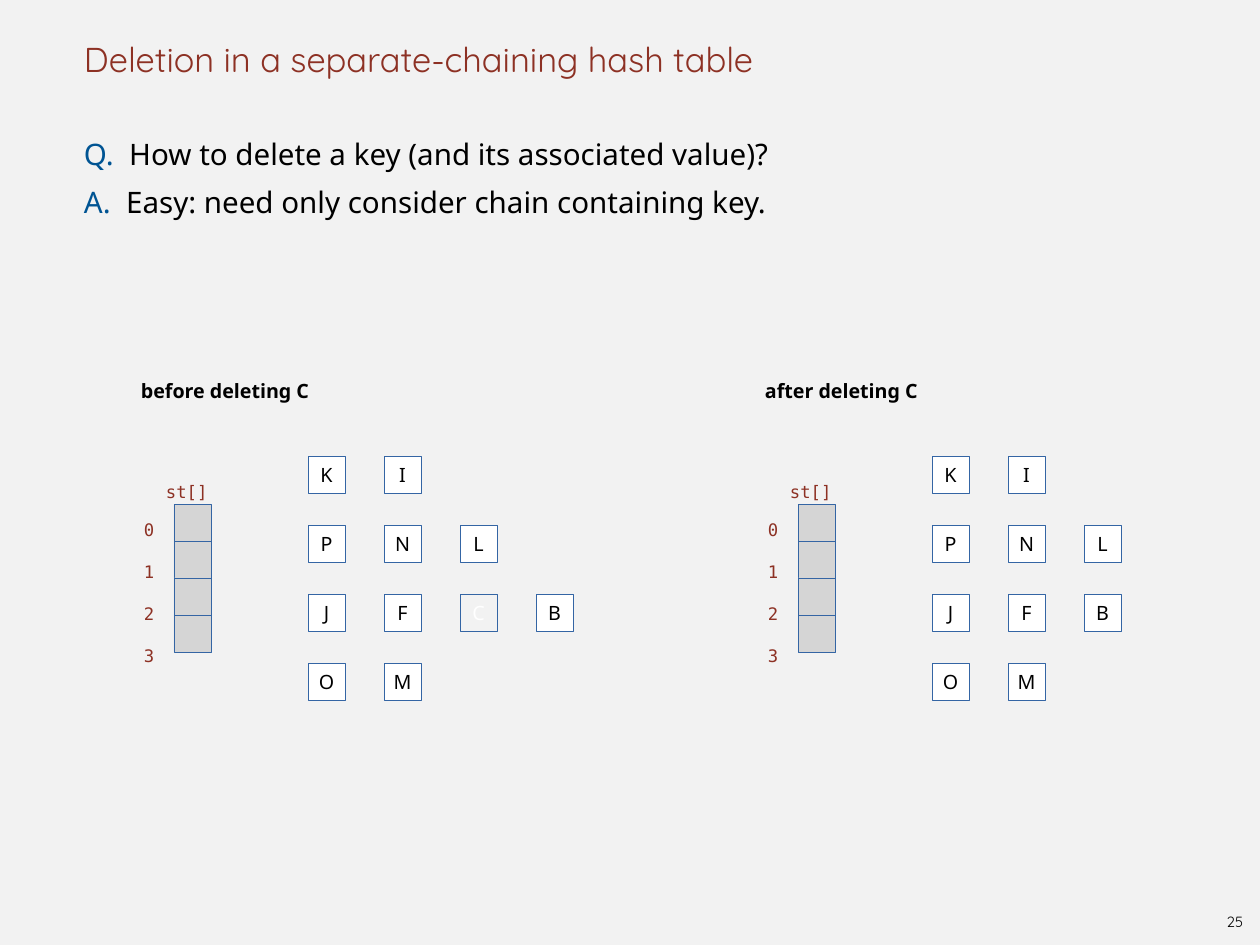
from pptx import Presentation
from pptx.dml.color import RGBColor
from pptx.enum.shapes import MSO_SHAPE
from pptx.enum.text import MSO_ANCHOR, PP_ALIGN
from pptx.util import Pt

RECT = MSO_SHAPE.RECTANGLE
TOP, MIDDLE, BOTTOM = MSO_ANCHOR.TOP, MSO_ANCHOR.MIDDLE, MSO_ANCHOR.BOTTOM
LEFT, CENTER = PP_ALIGN.LEFT, PP_ALIGN.CENTER

TITLE = "Deletion in a separate-chaining hash table"
QUESTIONS = [
    ("Q.  ", "How to delete a key (and its associated value)?"),
    ("A.  ", "Easy: need only consider chain containing key."),
]
PAGE_NUMBER = "25"
ARRAY_NAME = "st[]"
DELETED = "C"
TABLES = [  # heading, chains
    ("before deleting C", ["KI", "PNL", "JFCB", "OM"]),
    ("after deleting C", ["KI", "PNL", "JFB", "OM"]),
]

THEME = {
    "background": "F2F2F2", "node": "FFFFFF", "slot": "D5D5D5", "line": "3465A4",
    "title": {"name": "Quicksand", "size": 28, "color": "8D3124"},
    "lead": {"name": "Noto Sans", "size": 24, "color": "005493"},
    "body": {"name": "Noto Sans", "size": 24, "color": "000000"},
    "heading": {"name": "Noto Sans", "size": 16, "color": "000000", "bold": True},
    "key": {"name": "Noto Sans", "size": 16, "color": "000000"},
    "deleted": {"name": "Noto Sans", "size": 16, "color": "FFFFFF"},
    "code": {"name": "DejaVu Sans Mono", "size": 14, "color": "8D3124"},
    "page": {"name": "Quicksand", "size": 12, "color": "000000"},
}

PX = 10320  # EMU
WIDTH, HEIGHT = 1260, 945
INSET = 5
BOX = 37
TABLE_PITCH = 624
SLOT_X, SLOT_Y = 174, 504
INDEX_X, INDEX_Y, INDEX_PITCH = 139, 509, 42
NODE_X, NODE_Y, NODE_PITCH, CHAIN_PITCH = 308, 456, 76, 69


def px(*lengths):
    return [n * PX for n in lengths]


def add_run(p, text, style):
    r = p.add_run()
    r.text = text
    for name, value in THEME[style].items():
        if name == "color":
            r.font.color.rgb = RGBColor.from_string(value)
        else:
            setattr(r.font, name, Pt(value) if name == "size" else value)


def set_frame(tf, anchor=TOP, inset=0):
    values = {"word_wrap": True, "vertical_anchor": anchor, "margin_left": inset * PX,
              "margin_right": 0, "margin_top": 0, "margin_bottom": 0}
    for name, value in values.items():
        setattr(tf, name, value)


def add_text(s, box, paragraphs, anchor=TOP, align=LEFT, spacing=None):
    """Each paragraph is a list of (text, style) runs."""
    tf = s.shapes.add_textbox(*px(*box)).text_frame
    set_frame(tf, anchor, INSET if align == LEFT else 0)
    for i, runs in enumerate(paragraphs):
        p = tf.add_paragraph() if i else tf.paragraphs[0]
        p.alignment, p.line_spacing = align, spacing
        for text, style in runs:
            add_run(p, text, style)


def add_box(s, x, y, fill, key="", style="key"):
    sp = s.shapes.add_shape(RECT, *px(x, y, BOX, BOX))
    sp.shadow.inherit = False
    if fill:
        sp.fill.solid()
        sp.fill.fore_color.rgb = RGBColor.from_string(fill)
    else:
        sp.fill.background()
    sp.line.color.rgb = RGBColor.from_string(THEME["line"])
    sp.line.width = Pt(0.75)
    if key:
        set_frame(sp.text_frame, MIDDLE)
        p = sp.text_frame.paragraphs[0]
        p.alignment = CENTER
        add_run(p, key, style)


def add_hash_table(s, dx, heading, chains):
    add_text(s, (dx + 136, 367, 198, 32), [[(heading, "heading")]], spacing=1.5)
    add_text(s, (dx + 161, 471, 58, 29), [[(ARRAY_NAME, "code")]], spacing=1.5)
    for row, chain in enumerate(chains):
        add_box(s, dx + SLOT_X, SLOT_Y + row * BOX, THEME["slot"])
        add_text(s, (dx + INDEX_X, INDEX_Y + row * INDEX_PITCH, 27, 29),
                 [[(str(row), "code")]], spacing=1.5)
        for col, key in enumerate(chain):
            fill, style = (None, "deleted") if key == DELETED else (THEME["node"], "key")
            add_box(s, dx + NODE_X + col * NODE_PITCH, NODE_Y + row * CHAIN_PITCH,
                    fill, key, style)


def main():
    prs = Presentation()
    prs.slide_width, prs.slide_height = px(WIDTH, HEIGHT)
    s = prs.slides.add_slide(prs.slide_layouts[6])
    s.background.fill.solid()
    s.background.fill.fore_color.rgb = RGBColor.from_string(THEME["background"])

    add_text(s, (79, 0, 1102, 79), [[(TITLE, "title")]], BOTTOM)
    add_text(s, (79, 123, 1102, 788),
             [[(lead, "lead"), (text, "body")] for lead, text in QUESTIONS],
             spacing=Pt(39))
    for i, (heading, chains) in enumerate(TABLES):
        add_hash_table(s, i * TABLE_PITCH, heading, chains)
    add_text(s, (1220, 908, 30, 28), [[(PAGE_NUMBER, "page")]], MIDDLE, CENTER)
    prs.save("out.pptx")


if __name__ == "__main__":
    main()
